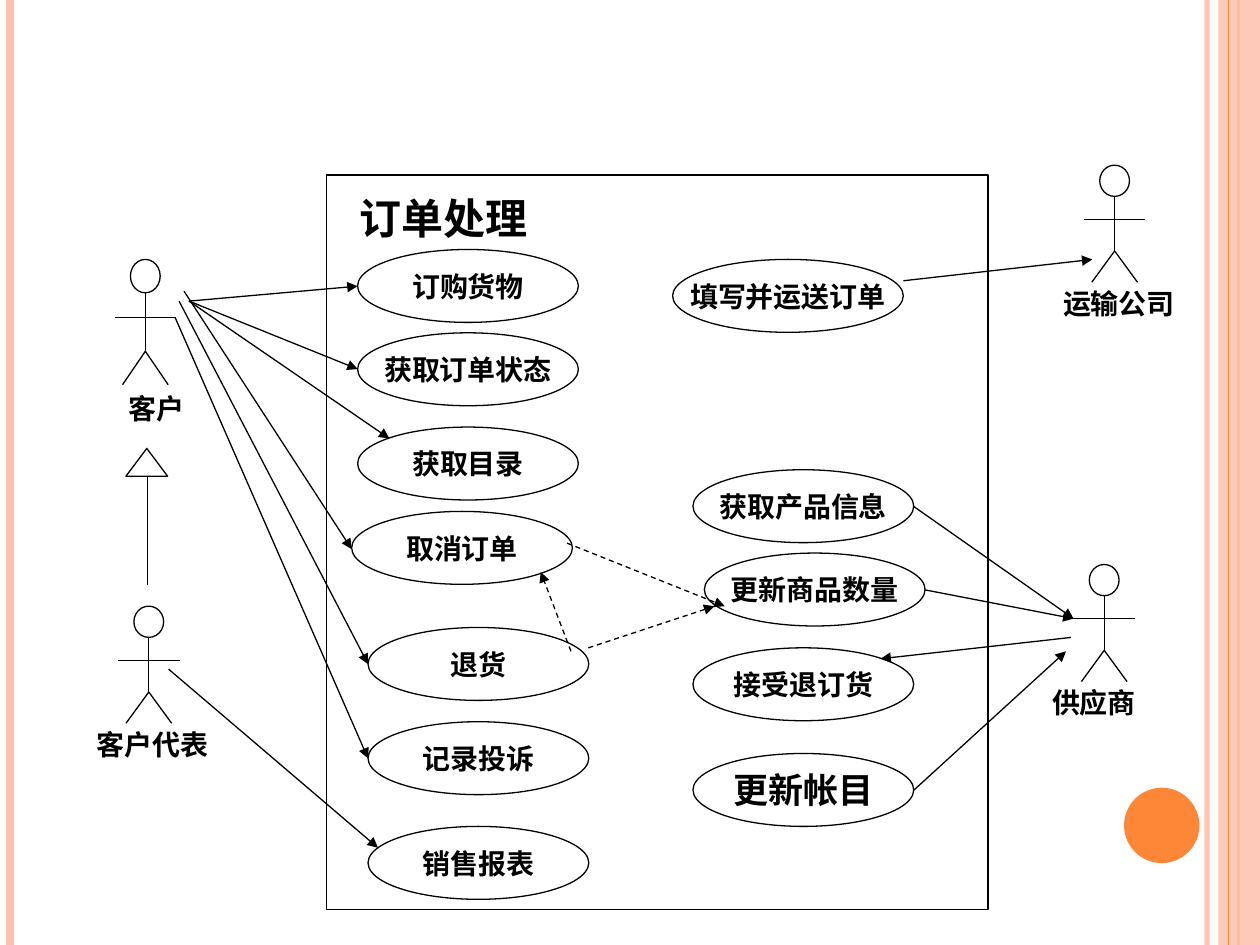
from lxml.etree import SubElement
from pptx import Presentation
from pptx.dml.color import RGBColor
from pptx.enum.dml import MSO_LINE
from pptx.enum.shapes import MSO_CONNECTOR, MSO_SHAPE
from pptx.enum.text import MSO_ANCHOR, PP_ALIGN
from pptx.oxml.ns import qn
from pptx.util import Cm, Pt

COLORS = {"ink": "000000", "peach": "FEC3AE", "orange": "FE8637"}
FONT = "Times New Roman"

deck = Presentation()
deck.slide_width, deck.slide_height = Cm(25.4), Cm(19.05)
page = deck.slides.add_slide(deck.slide_layouts[6])


def add_line(start, end, color="ink", width=0.75, arrow=False, dashed=False, alpha=None):
    line = page.shapes.add_connector(
        MSO_CONNECTOR.STRAIGHT, *[Cm(value) for value in (*start, *end)])
    line.line.color.rgb = RGBColor.from_string(COLORS[color])
    line.line.width = Pt(width)
    if dashed:
        line.line.dash_style = MSO_LINE.DASH
    outline = line.line._get_or_add_ln()
    if arrow:
        SubElement(outline, qn("a:tailEnd"), type="triangle")
    if alpha:
        SubElement(outline.find(".//" + qn("a:srgbClr")), qn("a:alpha"), val=str(alpha * 1000))
    SubElement(line._element.spPr, qn("a:effectLst"))


def add_box(kind, left, top, width, height, text="", size=16, fill=None, outlined=True):
    """Add a preset shape, or a text box when kind is None."""
    place = [Cm(value) for value in (left, top, width, height)]
    if kind is None:
        box = page.shapes.add_textbox(*place)
        box.text_frame.word_wrap = True
    else:
        box = page.shapes.add_shape(kind, *place)
        box.shadow.inherit = False
        if fill:
            box.fill.solid()
            box.fill.fore_color.rgb = RGBColor.from_string(COLORS[fill])
        else:
            box.fill.background()
        if outlined:
            box.line.color.rgb = RGBColor.from_string(COLORS["ink"])
            box.line.width = Pt(0.75)
        else:
            box.line.fill.background()
        box.text_frame.word_wrap = False
        box.text_frame.vertical_anchor = MSO_ANCHOR.MIDDLE
    if text:
        para = box.text_frame.paragraphs[0]
        para.alignment = PP_ALIGN.LEFT if kind is None else PP_ALIGN.CENTER
        span = para.add_run()
        span.text = text
        span.font.name, span.font.size, span.font.bold = FONT, Pt(size), True
        span.font.color.rgb = RGBColor.from_string(COLORS["ink"])
    return box


# Decorative side bands
for x, color, width, alpha in [(24.33, "peach", 3, 93), (0.2, "peach", 4.5, None),
                               (24.97, "orange", 1.5, None)]:
    add_line((x, 0), (x, 19.05), color, width, alpha=alpha)
band = add_box(MSO_SHAPE.RECTANGLE, 24.56, 0, 0.84, 19.05, fill="peach", outlined=False)
SubElement(band._element.spPr.find(".//" + qn("a:srgbClr")), qn("a:alpha"), val="87000")
add_line((24.77, 0), (24.77, 19.05), "orange")
add_box(MSO_SHAPE.OVAL, 22.66, 15.88, 1.52, 1.52, fill="orange", outlined=False)

# System boundary
add_box(MSO_SHAPE.RECTANGLE, 6.58, 3.53, 13.34, 14.81)
add_box(None, 6.99, 3.76, 5.08, 1.27, "订单处理", 24)

# Use cases
use_cases = [
    ("订购货物", 7.21, 5.03, 4.45, 16),
    ("获取订单状态", 7.21, 6.71, 4.45, 16),
    ("获取目录", 7.21, 8.61, 4.45, 16),
    ("取消订单", 7.09, 10.31, 4.45, 16),
    ("退货", 7.42, 12.65, 4.45, 16),
    ("记录投诉", 7.42, 14.55, 4.45, 16),
    ("销售报表", 7.42, 16.66, 4.45, 16),
    ("填写并运送订单", 13.56, 5.23, 4.65, 16),
    ("获取产品信息", 13.97, 9.47, 4.45, 16),
    ("更新商品数量", 14.2, 11.15, 4.45, 16),
    ("接受退订货", 13.97, 13.06, 4.45, 16),
    ("更新帐目", 13.97, 15.19, 4.45, 20),
]
for name, left, top, width, size in use_cases:
    add_box(MSO_SHAPE.OVAL, left, top, width, 1.47, name, size)

# Actors: name, centre, top, vertical scale, label left, top and width
actors = [
    ("客户", 2.93, 5.23, 1.07, 2.34, 7.77, 1.75),
    ("运输公司", 22.47, 3.33, 1, 21.18, 5.66, 2.97),
    ("客户代表", 3, 12.22, 1, 1.7, 14.55, 2.97),
    ("供应商", 22.26, 11.38, 1, 20.96, 13.69, 2.97),
]
for name, x, top, scale, label_left, label_top, label_width in actors:
    neck, arms, hip, feet = [top + drop * scale for drop in (0.63, 1.09, 1.73, 2.36)]
    add_box(MSO_SHAPE.OVAL, x - 0.3, top, 0.6, neck - top)
    add_line((x - 0.62, arms), (x + 0.62, arms))
    add_line((x, neck), (x, hip))
    for side in (-0.46, 0.46):
        add_line((x, hip), (x + side, feet))
    add_box(None, label_left, label_top, label_width, 0.94, name)

# Generalization from representative to customer
add_box(MSO_SHAPE.ISOSCELES_TRIANGLE, 2.54, 9.04, 0.84, 0.56)
add_line((2.97, 9.6), (2.97, 11.79))

# Associations
associations = [
    ((3.81, 6.07), (7.21, 5.77)),
    ((3.81, 6.07), (7.21, 7.44)),
    ((3.81, 6.07), (7.85, 8.84)),
    ((3.71, 5.87), (7.09, 11.07)),
    ((3.61, 6.07), (7.42, 13.39)),
    ((3.53, 6.4), (7.42, 15.29)),
    ((3.4, 13.49), (7.62, 17.09)),
    ((18.21, 5.66), (22.02, 5.23)),
    ((18.42, 10.21), (21.64, 12.47)),
    ((18.64, 11.89), (21.64, 12.47)),
    ((21.59, 12.85), (17.75, 13.28)),
    ((18.42, 15.93), (21.49, 13.13)),
]
for start, end in associations:
    add_line(start, end, arrow=True)

# Dependencies between use cases
dependencies = [
    ((11.86, 13.06), (14.4, 12.22)),
    ((11.43, 10.95), (14.61, 12.22)),
    ((11.51, 13.13), (10.9, 11.53)),
]
for start, end in dependencies:
    add_line(start, end, arrow=True, dashed=True)

deck.save("out.pptx")
